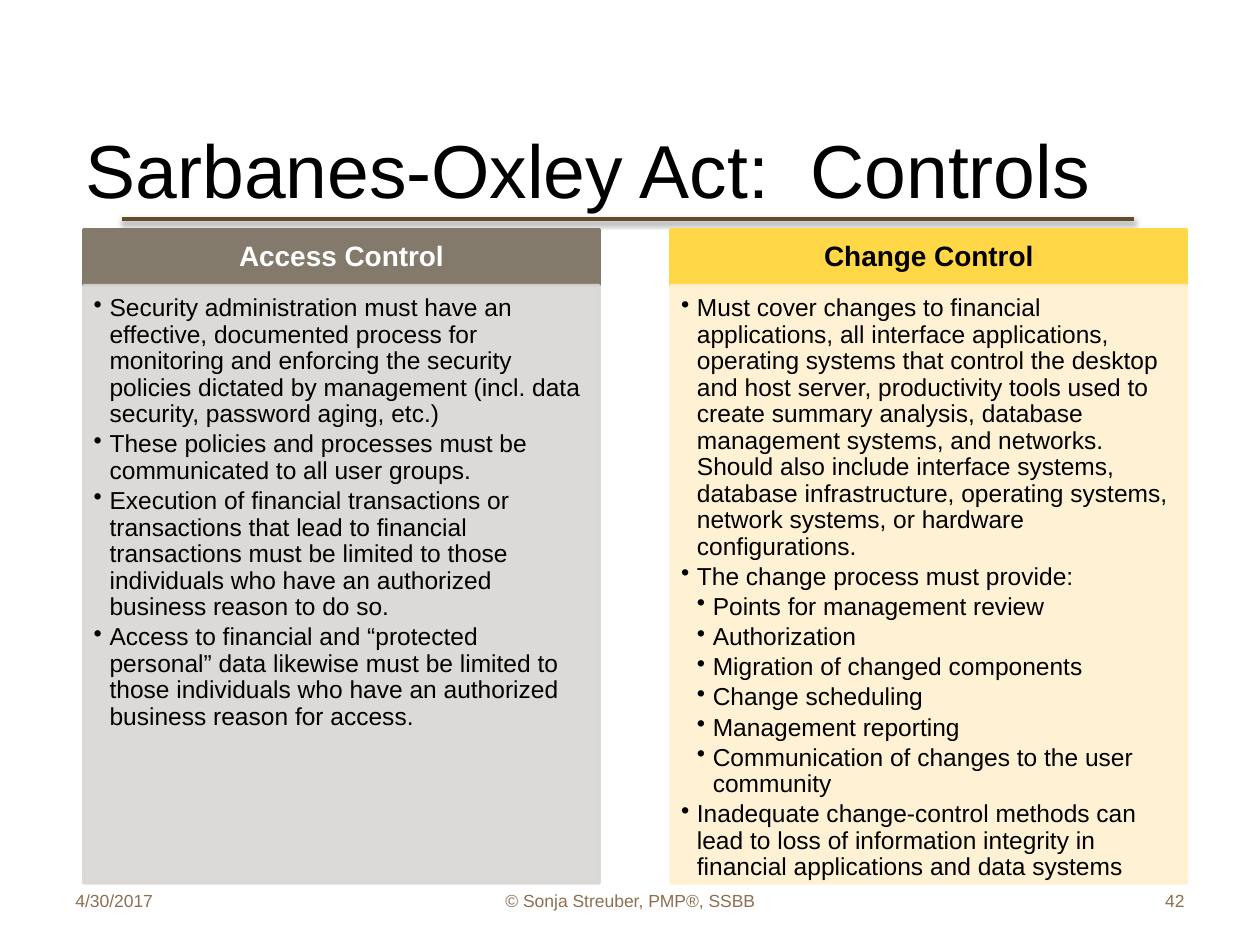
from pptx import Presentation
from pptx.dml.color import RGBColor
from pptx.enum.shapes import MSO_CONNECTOR, MSO_SHAPE
from pptx.enum.text import MSO_ANCHOR as Anchor, PP_ALIGN as Align
from pptx.oxml import parse_xml
from pptx.oxml.ns import nsdecls, qn
from pptx.util import Cm, Pt

FONT = "Arial"
LINE_SPACING = 0.9
COLUMN_WIDTH = 10.39
HEADER_TOP, HEADER_HEIGHT = 4.64, 1.12
BODY_TOP, BODY_HEIGHT = 5.76, 12.04
FOOTER_TOP, FOOTER_HEIGHT = 17.65, 1.02
BULLET_INDENT = 0.32

# Each point is (level, text).
ACCESS_POINTS = [
    (1, "Security administration must have an effective, documented process for "
        "monitoring and enforcing the security policies dictated by management "
        "(incl. data security, password aging, etc.)"),
    (1, "These policies and processes must be communicated to all user groups."),
    (1, "Execution of financial transactions or transactions that lead to financial "
        "transactions must be limited to those individuals who have an authorized "
        "business reason to do so."),
    (1, "Access to financial and “protected personal” data likewise must be limited "
        "to those individuals who have an authorized business reason for access."),
]
CHANGE_POINTS = [
    (1, "Must cover changes to financial applications, all interface applications, "
        "operating systems that control the desktop and host server, productivity "
        "tools used to create summary analysis, database management systems, and "
        "networks. Should also include interface systems, database infrastructure, "
        "operating systems, network systems, or hardware configurations."),
    (1, "The change process must provide:"),
    (2, "Points for management review"),
    (2, "Authorization"),
    (2, "Migration of changed components"),
    (2, "Change scheduling"),
    (2, "Management reporting"),
    (2, "Communication of changes to the user community"),
    (1, "Inadequate change-control methods can lead to loss of information integrity "
        "in financial applications and data systems"),
]


def rgb(hex_color):
    return RGBColor.from_string(hex_color)


def write(paragraph, text, size, color="000000", bold=False, align=Align.LEFT,
          line_spacing=None, space_after=None):
    paragraph.alignment = align
    paragraph.line_spacing = line_spacing
    paragraph.space_after = space_after
    run = paragraph.add_run()
    run.text = text
    run.font.name = FONT
    run.font.size = Pt(size)
    run.font.bold = bold
    run.font.color.rgb = rgb(color)


def set_margins(frame, left, top, right, bottom):
    frame.margin_left, frame.margin_top = Cm(left), Cm(top)
    frame.margin_right, frame.margin_bottom = Cm(right), Cm(bottom)


def add_label(slide, left, top, width, height, text, **text_format):
    frame = slide.shapes.add_textbox(Cm(left), Cm(top), Cm(width), Cm(height)).text_frame
    frame.word_wrap = True
    frame.vertical_anchor = Anchor.MIDDLE
    write(frame.paragraphs[0], text, **text_format)


def add_panel(slide, left, top, height, color, opacity=100):
    """Add a filled column block and return its text frame."""
    panel = slide.shapes.add_shape(
        MSO_SHAPE.RECTANGLE, Cm(left), Cm(top), Cm(COLUMN_WIDTH), Cm(height))
    panel.shadow.inherit = False
    panel.fill.solid()
    panel.fill.fore_color.rgb = rgb(color)
    panel.line.color.rgb = rgb(color)
    panel.line.width = Pt(2)
    if opacity < 100:
        for swatch in panel._element.spPr.iter(qn("a:srgbClr")):
            swatch.append(parse_xml(f'<a:alpha {nsdecls("a")} val="{opacity * 1000}"/>'))
    panel.text_frame.word_wrap = True
    return panel.text_frame


def add_bullet(paragraph, level):
    properties = paragraph._p.get_or_add_pPr()
    properties.set("marL", str(Cm(BULLET_INDENT * level)))
    properties.set("indent", str(-Cm(BULLET_INDENT)))
    properties.append(parse_xml(f'<a:buChar {nsdecls("a")} char="•"/>'))


def add_column(slide, left, heading, heading_color, header_fill, body_fill, points):
    header = add_panel(slide, left, HEADER_TOP, HEADER_HEIGHT, header_fill)
    set_margins(header, 0.3, 0.18, 0.3, 0.18)
    header.vertical_anchor = Anchor.MIDDLE
    write(header.paragraphs[0], heading, size=16, color=heading_color, bold=True,
          align=Align.CENTER, line_spacing=LINE_SPACING)

    body = add_panel(slide, left, BODY_TOP, BODY_HEIGHT, body_fill, opacity=90)
    set_margins(body, 0.2, 0.2, 0.28, 0.3)
    body.vertical_anchor = Anchor.TOP
    for index, (level, text) in enumerate(points):
        paragraph = body.add_paragraph() if index else body.paragraphs[0]
        add_bullet(paragraph, level)
        write(paragraph, text, size=14, line_spacing=LINE_SPACING, space_after=Pt(2.1))


def add_title_rule(slide):
    rule = slide.shapes.add_connector(
        MSO_CONNECTOR.STRAIGHT, Cm(2.46), Cm(4.42), Cm(22.86), Cm(4.42))
    rule.line.color.rgb = rgb("634D2A")
    rule.line.width = Pt(2)
    rule._element.spPr.append(parse_xml(
        f'<a:effectLst {nsdecls("a")}>'
        f'<a:outerShdw blurRad="{Pt(3.1)}" dist="{Pt(1.6)}" dir="5400000" rotWithShape="0">'
        '<a:srgbClr val="000000"><a:alpha val="38000"/></a:srgbClr>'
        '</a:outerShdw></a:effectLst>'))


def add_footer(slide):
    for left, width, text, align in (
            (1.27, 5.92, "4/30/2017", Align.LEFT),
            (8.68, 8.05, "© Sonja Streuber, PMP®, SSBB", Align.CENTER),
            (18.21, 5.92, "42", Align.RIGHT)):
        add_label(slide, left, FOOTER_TOP, width, FOOTER_HEIGHT, text,
                  size=10, color="8F6F52", align=align)


def main():
    deck = Presentation()
    deck.slide_width, deck.slide_height = Cm(25.4), Cm(19.05)
    slide = deck.slides.add_slide(deck.slide_layouts[6])
    add_title_rule(slide)
    add_footer(slide)
    add_label(slide, 1.48, 2.34, 22.66, 2.11, "Sarbanes-Oxley Act:  Controls", size=42.9)
    add_column(slide, 1.69, "Access Control", "FFFFFF", "847A6C", "D9D7D4", ACCESS_POINTS)
    add_column(slide, 13.53, "Change Control", "000000", "FFD747", "FFF0CF", CHANGE_POINTS)
    deck.save("out.pptx")


if __name__ == "__main__":
    main()
